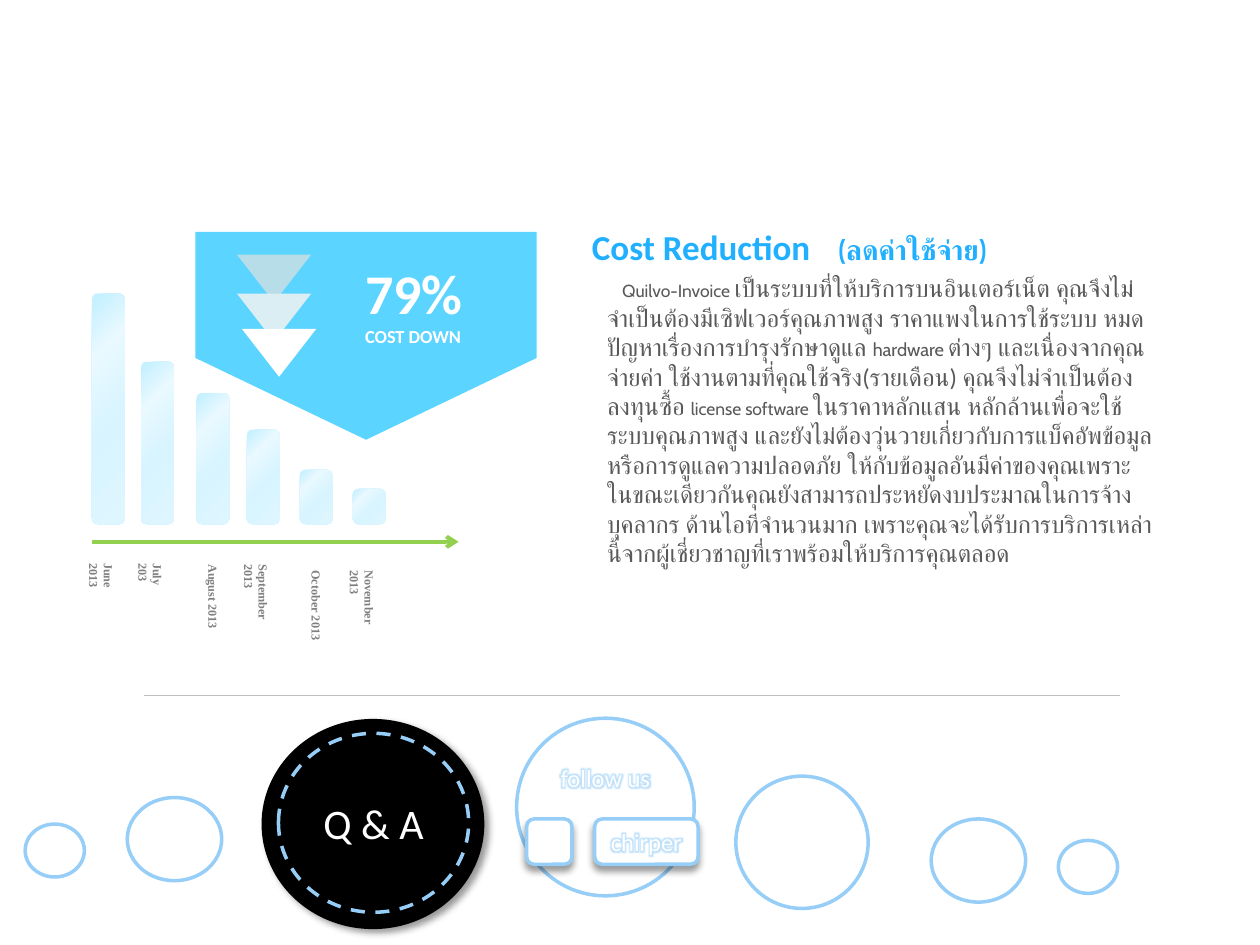
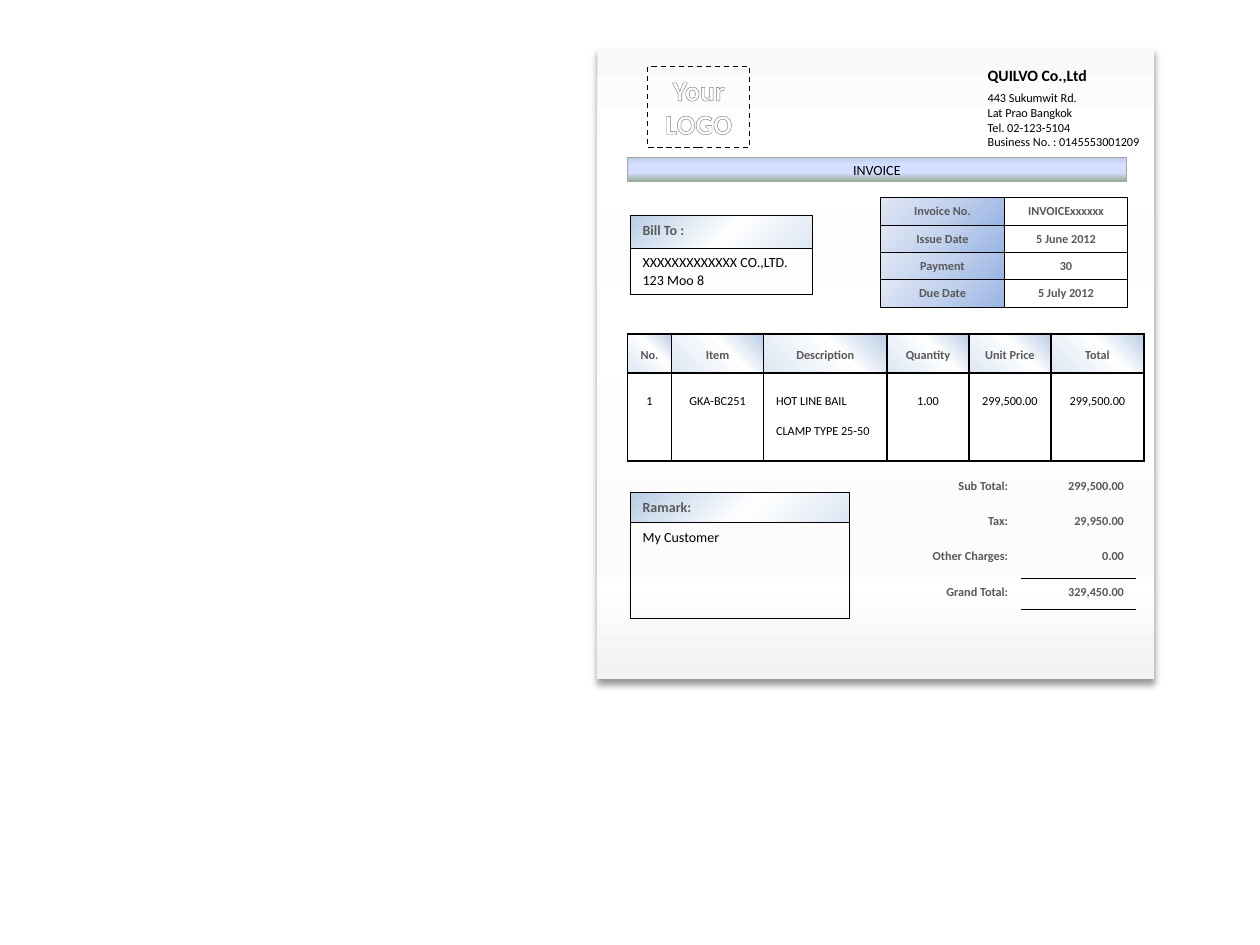
from lxml import etree
from pptx import Presentation
from pptx.dml.color import RGBColor
from pptx.enum.dml import MSO_LINE
from pptx.enum.shapes import MSO_CONNECTOR, MSO_SHAPE
from pptx.enum.text import MSO_ANCHOR, PP_ALIGN
from pptx.oxml import parse_xml
from pptx.oxml.ns import nsdecls, qn
from pptx.util import Inches, Pt

RECT, ROUNDED = MSO_SHAPE.RECTANGLE, MSO_SHAPE.ROUNDED_RECTANGLE
OVAL, TRIANGLE = MSO_SHAPE.OVAL, MSO_SHAPE.ISOSCELES_TRIANGLE
LEFT, CENTER, RIGHT = PP_ALIGN.LEFT, PP_ALIGN.CENTER, PP_ALIGN.RIGHT
TOP, MIDDLE = MSO_ANCHOR.TOP, MSO_ANCHOR.MIDDLE
DASH = MSO_LINE.DASH

COLORS = {
    "white": "FFFFFF", "black": "000000", "ring": "96CEF8", "heading": "21B0FF",
    "badge": "5BD4FF", "body": "595959", "month": "808080", "axis": "92D050",
    "rule": "BFBFBF", "frame": "A6A6A6", "outline": "7D7D7D",
    "chevron_far": "B7DEE8", "chevron_mid": "DBEEF4",
}
TO_TOP_LEFT = {"l": 100, "t": 100}
TO_TOP_RIGHT = {"t": 100, "r": 100}
BAR_GRADIENT = ([(0, "DEF6FF"), (43, "D7F4FF"), (75, "E9F9FF"), (97, "C5F0FF")], TO_TOP_LEFT)
PAGE_GRADIENT = ([(0, "F9F9F9"), (14, "FFFFFF"), (26, "FDFDFD"), (38, "FFFFFF"),
                  (53, "FEFEFE"), (68, "FCFCFC"), (84, "FFFFFF"), (100, "F2F2F2")], 90)
BANNER_GRADIENT = ([(0, "B9CDE5"), (28, "D4DEFF"), (65, "D4DEFF"), (100, "96AB94")], 90)
LOGO_GRADIENT = ([(0, "FFFFFF"), (9, "FFFFFF"), (50, "7F7F7F"), (79, "FFFFFF"), (100, "FFFFFF")], 90)
KEY_GRADIENT = ([(0, "9AB5E4"), (50, "C2D1ED"), (100, "E1E8F5")], TO_TOP_LEFT)
NOTE_GRADIENT = ([(0, "DCE6F2"), (46, "FFFFFF"), (100, "B9CDE5")], 225)
HEADER_GRADIENT = ([(0, "DCE6F2"), (60, "FFFFFF"), (100, "B9CDE5")], TO_TOP_RIGHT)


def rgb(name):
    """Return the named colour."""
    return RGBColor.from_string(COLORS[name])


def paint(fill, owner, look):
    """Fill with a colour name, a (stops, direction) gradient, or nothing."""
    if look is None:
        fill.background()
    elif isinstance(look, str):
        fill.solid()
        fill.fore_color.rgb = rgb(look)
    else:
        stops, direction = look
        marks = "".join(f'<a:gs pos="{pos * 1000}"><a:srgbClr val="{color}"/></a:gs>' for pos, color in stops)
        if isinstance(direction, dict):
            sides = " ".join(f'{side}="{share * 1000}"' for side, share in direction.items())
            course = f'<a:path path="circle"><a:fillToRect {sides}/></a:path>'
        else:
            course = f'<a:lin ang="{direction * 60000}" scaled="0"/>'
        fill.background()
        blank = owner.find(qn("a:noFill"))
        owner.replace(blank, parse_xml(
            f'<a:gradFill {nsdecls("a")} rotWithShape="1"><a:gsLst>{marks}</a:gsLst>{course}</a:gradFill>'))


def add_shadow(shape, angle):
    """Give a shape a soft outer shadow."""
    effects = shape._element.spPr.find(qn("a:effectLst"))
    effects.append(parse_xml(
        f'<a:outerShdw {nsdecls("a")} blurRad="{Pt(4)}" dist="{Pt(3)}" dir="{angle * 60000}" rotWithShape="0">'
        '<a:srgbClr val="000000"><a:alpha val="40000"/></a:srgbClr></a:outerShdw>'))


def add_figure(slide, kind, box, look=None, line=None, width=2, dash=None, shadow=None):
    """Add a preset shape in the box (left, top, width, height)."""
    figure = slide.shapes.add_shape(kind, *map(Inches, box))
    figure.shadow.inherit = False
    paint(figure.fill, figure._element.spPr, look)
    if line:
        figure.line.color.rgb = rgb(line)
        figure.line.width = Pt(width)
        if dash:
            figure.line.dash_style = dash
    else:
        figure.line.fill.background()
    if shadow is not None:
        add_shadow(figure, shadow)
    return figure


def style_run(run, size, color, bold=False, font="Calibri"):
    """Set the font of a run."""
    run.font.size, run.font.bold, run.font.name = Pt(size), bold, font
    run.font.color.rgb = rgb(color)


def write(frame, text, size, color, bold=False, align=LEFT, font="Calibri", anchor=TOP, wrap=True):
    """Write lines of text in one style."""
    frame.text = text
    frame.word_wrap = wrap
    frame.vertical_anchor = anchor
    for paragraph in frame.paragraphs:
        paragraph.alignment = align
        for run in paragraph.runs:
            style_run(run, size, color, bold, font)


def add_text(slide, box, text, size, color, **style):
    """Add a text box with one style."""
    label = slide.shapes.add_textbox(*map(Inches, box))
    write(label.text_frame, text, size, color, **style)
    return label


def add_runs(paragraph, runs, color, bold=False):
    """Add runs given as (text, size, font)."""
    for text, size, font in runs:
        run = paragraph.add_run()
        run.text = text
        style_run(run, size, color, bold, font)


def add_rule(slide, start, end, color, width, arrow=False):
    """Draw a straight line, with an arrowhead if wanted."""
    rule = slide.shapes.add_connector(MSO_CONNECTOR.STRAIGHT, *map(Inches, start + end))
    rule.line.color.rgb = rgb(color)
    rule.line.width = Pt(width)
    if arrow:
        etree.SubElement(rule.line._get_or_add_ln(), qn("a:tailEnd"), type="arrow")
    etree.SubElement(rule._element.spPr, qn("a:effectLst"))


def add_glow(frame):
    """Put a blue glow around the text."""
    for paragraph in frame.paragraphs:
        for run in paragraph.runs:
            run.font._element.find(qn("a:solidFill")).addnext(parse_xml(
                f'<a:effectLst {nsdecls("a")}><a:glow rad="{Pt(5)}"><a:srgbClr val="{COLORS["ring"]}">'
                '<a:alpha val="60000"/></a:srgbClr></a:glow></a:effectLst>'))


def border(cell, widths):
    """Set the cell borders from a dict of side to width; other sides get none."""
    tc_pr = cell._tc.get_or_add_tcPr()
    for position, side in enumerate("LRTB"):
        width = widths.get(side, 0)
        ink = (f'<a:solidFill><a:srgbClr val="{COLORS["black"]}"/></a:solidFill>' if width else "<a:noFill/>")
        tc_pr.insert(position, parse_xml(f'<a:ln{side} {nsdecls("a")} w="{Pt(width)}">{ink}</a:ln{side}>'))


def add_grid(slide, left, top, columns, heights, rows, style, line=0):
    """Add a table; style(row, column) gives fill, text style and line spacing."""
    box = left, top, sum(columns), sum(heights)
    table = slide.shapes.add_table(len(rows), len(columns), *map(Inches, box)).table
    table.first_row = table.horz_banding = False
    for column, width in zip(table.columns, columns):
        column.width = Inches(width)
    for r, (texts, height) in enumerate(zip(rows, heights)):
        table.rows[r].height = Inches(height)
        for c, text in enumerate(texts):
            cell = table.cell(r, c)
            look, text_style, spacing = style(r, c)
            write(cell.text_frame, text, **text_style)
            for paragraph in cell.text_frame.paragraphs:
                paragraph.line_spacing = spacing
            paint(cell.fill, cell._tc.get_or_add_tcPr(), look)
            border(cell, dict.fromkeys("LRTB", line))
    return table


def draw_cost_bars(slide, left, top):
    """Falling monthly cost bars over a time axis with rotated month labels."""
    bottom, bar_width, label_height = top + 1.83, 0.26, 0.22
    months = [
        (0, 1.83, "June 2013", 0.6, 0, True), (0.39, 1.29, "July 203", 0.53, 0, True),
        (0.83, 1.04, "August 2013", 0.71, 0.01, False), (1.23, 0.75, "September 2013", 0.85, 0.01, True),
        (1.65, 0.43, "October 2013", 0.76, 0.06, False), (2.07, 0.28, "November 2013", 0.84, 0.06, False),
    ]
    for offset, height, month, length, drop, wrap in months:
        bar = add_figure(slide, ROUNDED, (left + offset, bottom - height, bar_width, height), BAR_GRADIENT)
        bar._element.spPr.xfrm.set("flipV", "1")
        center = left + offset + bar_width / 2
        middle = bottom + 0.21 + drop + length / 2
        label = add_text(slide, (center - length / 2, middle - label_height / 2, length, label_height),
                         month, 7, "month", bold=True, font="Times New Roman", wrap=wrap)
        label.rotation = 90
    add_rule(slide, (left, bottom + 0.14), (left + 2.91, bottom + 0.14), "axis", 2.25, arrow=True)


def draw_saving_badge(slide, left, top):
    """Downward badge with three chevrons and the saving."""
    add_figure(slide, TRIANGLE, (left, top + 1, 2.71, 0.65), "badge").rotation = 180
    add_figure(slide, RECT, (left, top, 2.71, 1), "badge")
    for dx, dy, color in [(0.33, 0.18, "chevron_far"), (0.33, 0.49, "chevron_mid"), (0.37, 0.77, "white")]:
        add_figure(slide, TRIANGLE, (left + dx, top + dy, 0.59, 0.38), color).rotation = 180
    saving = add_text(slide, (left + 1.25, top + 0.16, 1.02, 0.84), "79%\nCOST DOWN", 32, "white",
                      bold=True, wrap=False)
    saving.text_frame.paragraphs[1].runs[0].font.size = Pt(10.5)


def draw_cost_text(slide, left, top):
    """Heading and paragraph on cost reduction."""
    heading = add_text(slide, (left, top, 4.3, 0.44), "", 20, "heading").text_frame.paragraphs[0]
    add_runs(heading, [("Cost Reduction", 20, "Calibri"), (" (ลดค่าใช้จ่าย)".replace(" ", "　"), 16, "Cabin")],
             "heading", bold=True)
    body = add_text(slide, (left + 0.12, top + 0.38, 4.6, 2.09), "", 14, "body").text_frame.paragraphs[0]
    body._p.get_or_add_pPr().set("indent", str(Inches(0.12)))
    add_runs(body, [
        ("Quilvo-Invoice", 10, "Cabin"),
        (" ", 12, "Calibri"),
        ("เป็นระบบที่ให้บริการบนอินเตอร์เน็ต คุณจึงไม่จำเป็นต้องมีเซิฟเวอร์คุณภาพสูง ราคาแพงในการใช้ระบบ "
         "หมดปัญหาเรื่องการบำรุงรักษาดูแล ", 14, "Calibri"),
        ("hardware ", 10.5, "Cabin"),
        ("ต่างๆ และเนื่องจากคุณจ่ายค่า ใช้งานตามที่คุณใช้จริง(รายเดือน) "
         "คุณจึงไม่จำเป็นต้องลงทุนซื้อ ", 14, "Calibri"),
        ("license software", 10, "Cabin"),
        (" ", 10.5, "Calibri"),
        ("ในราคาหลักแสน หลักล้านเพื่อจะใช้ระบบคุณภาพสูง "
         "และยังไม่ต้องวุ่นวายเกี่ยวกับการแบ็คอัพข้อมูลหรือการดูแลความปลอดภัย "
         "ให้กับข้อมูลอันมีค่าของคุณเพราะ ในขณะเดียวกันคุณยังสามารถประหยัดงบประมาณในการจ้างบุคลากร "
         "ด้านไอทีจำนวนมาก เพราะคุณจะได้รับการบริการเหล่านี้จากผู้เชี่ยวชาญที่เราพร้อมให้บริการคุณตลอด",
         14, "Calibri"),
    ], "body")


def draw_contact_band(slide, left, top):
    """Rule with a row of rings, the Q & A disc and the follow-us ring."""
    add_rule(slide, (left + 0.94, top), (left + 8.69, top), "rule", 1)
    rings = [(0, 1.02, 0.47, 0.42), (0.81, 0.81, 0.75, 0.66), (5.64, 0.64, 1.05, 1.05),
             (7.19, 0.98, 0.75, 0.66), (8.2, 1.15, 0.47, 0.42)]
    for dx, dy, width, height in rings:
        add_figure(slide, OVAL, (left + dx, top + dy, width, height), "white", "ring")
    add_figure(slide, OVAL, (left + 1.89, top + 0.2, 1.74, 1.64), "black", "black", shadow=45)
    question = add_figure(slide, OVAL, (left + 2.01, top + 0.3, 1.51, 1.42), None, "ring", dash=DASH)
    write(question.text_frame, "Q & A", 24, "white", align=CENTER, anchor=MIDDLE)
    follow = add_figure(slide, OVAL, (left + 3.9, top + 0.18, 1.41, 1.41), "white", "ring")
    follow.text_frame.margin_bottom = Inches(0.52)
    add_figure(slide, ROUNDED, (left + 3.98, top + 0.98, 0.36, 0.36), "white", "ring", shadow=90)
    channel = add_figure(slide, ROUNDED, (left + 4.52, top + 0.98, 0.82, 0.36), "white", "ring", shadow=90)
    for figure, text in [(follow, "follow us"), (channel, "chirper")]:
        write(figure.text_frame, text, 14, "white", align=CENTER, anchor=MIDDLE)
        add_glow(figure.text_frame)


def draw_letterhead(slide, left, top):
    """Invoice page with logo frame, company address and banner."""
    add_figure(slide, RECT, (left, top, 4.42, 5.01), PAGE_GRADIENT, shadow=90)
    company = add_text(slide, (left + 3, top + 0.09, 1.42, 0.77),
                       "QUILVO Co.,Ltd\n443 Sukumwit Rd.\nLat Prao Bangkok\nTel. 02-123-5104\n"
                       "Business No. : 0145553001209", 7, "black", wrap=False)
    name, street = company.text_frame.paragraphs[:2]
    style_run(name.runs[0], 9, "black", bold=True)
    street.space_before = Pt(3.6)
    logo = add_figure(slide, RECT, (left + 0.4, top + 0.15, 0.81, 0.64), None, "black", 0.75, DASH)
    write(logo.text_frame, "Your\nLOGO", 16, "white", bold=True, align=CENTER)
    for paragraph in logo.text_frame.paragraphs:
        font = paragraph.runs[0].font
        paint(font.fill, font._element, LOGO_GRADIENT)
        font._element.insert(0, parse_xml(
            f'<a:ln {nsdecls("a")} w="{Pt(0.83)}"><a:solidFill><a:srgbClr val="{COLORS["outline"]}"/>'
            '</a:solidFill></a:ln>'))
    banner = add_figure(slide, RECT, (left + 0.24, top + 0.87, 3.96, 0.19), BANNER_GRADIENT, "frame", 0.75)
    write(banner.text_frame, "INVOICE", 8, "black", align=CENTER, anchor=MIDDLE)


def cell_text(size, strong, align):
    """Return the text style of a cell."""
    return {"size": size, "color": "body" if strong else "black", "bold": strong, "align": align}


def draw_note(slide, left, top, width, heights, title, text):
    """Titled one-column box."""
    add_grid(slide, left, top, [width], heights, [[title], [text]],
             lambda r, c: (None if r else NOTE_GRADIENT, cell_text(8, r == 0, LEFT), 1.0), 0.5)


def draw_invoice_tables(slide, left, top):
    """Tables of the invoice page: terms, items, totals and notes."""
    add_grid(slide, left + 2.25, top + 1.19, [0.98] * 2, [0.19] * 4,
             [["Invoice No.", "INVOICExxxxxx"], ["Issue Date", "5 June 2012"],
              ["Payment", "30"], ["Due Date", "5 July 2012"]],
             lambda r, c: ("white" if c else KEY_GRADIENT, cell_text(7, True, CENTER), 1.0), 0.5)
    add_grid(slide, left + 0.24, top + 2.27, [0.35, 0.73, 0.98, 0.65, 0.65, 0.74], [0.31, 0.7],
             [["No.", "Item", "Description", "Quantity", "Unit Price", "Total"],
              ["1", "GKA-BC251", "HOT LINE BAIL CLAMP TYPE 25-50", "1.00", "299,500.00", "299,500.00"]],
             lambda r, c: ("white" if r else HEADER_GRADIENT,
                           cell_text(7, r == 0, LEFT if (r, c) == (1, 2) else CENTER), 2.0 if r else 1.5), 1)
    totals = add_grid(slide, left + 2.51, top + 3.37, [0.85, 0.92], [0.28] * 3 + [0.25],
                      [["Sub Total:", "299,500.00"], ["Tax:", "29,950.00"],
                       ["Other Charges:", "0.00"], ["Grand Total:", "329,450.00"]],
                      lambda r, c: (None, cell_text(7, True, RIGHT), 1.0))
    for row, sides in [(2, "B"), (3, "TB")]:
        cell = totals.cell(row, 1)
        for side in "LRTB":
            cell._tc.tcPr.remove(cell._tc.tcPr.find(qn(f"a:ln{side}")))
        border(cell, dict.fromkeys(sides, 0.5))
    draw_note(slide, left + 0.26, top + 1.33, 1.45, [0.26, 0.37], "Bill To :", "XXXXXXXXXXXXX CO.,LTD.\n123 Moo 8")
    draw_note(slide, left + 0.26, top + 3.53, 1.74, [0.24, 0.76], "Ramark:", "My Customer")


def main():
    """Build both slides and save them."""
    deck = Presentation()
    deck.slide_width, deck.slide_height = Inches(10), Inches(7.5)
    cost_slide, invoice_slide = (deck.slides.add_slide(deck.slide_layouts[6]) for _ in range(2))
    draw_saving_badge(cost_slide, 1.55, 1.84)
    draw_cost_bars(cost_slide, 0.73, 2.33)
    draw_cost_text(cost_slide, 4.6, 1.74)
    draw_contact_band(cost_slide, 0.2, 5.52)
    draw_letterhead(invoice_slide, 4.74, 0.38)
    draw_invoice_tables(invoice_slide, 4.74, 0.38)
    deck.save("out.pptx")


if __name__ == "__main__":
    main()
